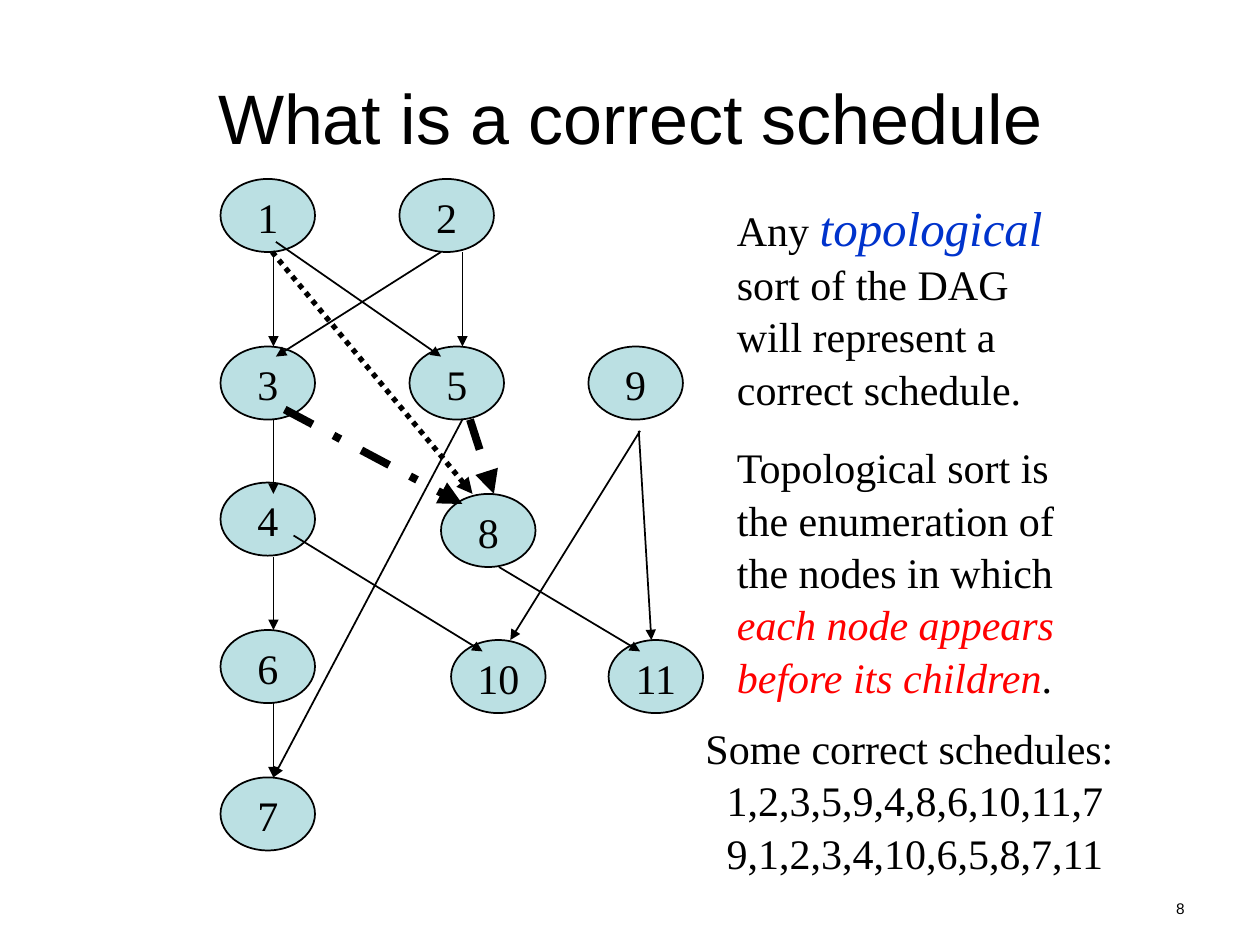
from pptx import Presentation
from pptx.dml.color import RGBColor
from pptx.enum.dml import MSO_LINE_DASH_STYLE as Dash
from pptx.enum.shapes import MSO_CONNECTOR as Connector, MSO_SHAPE as Shape
from pptx.enum.text import MSO_ANCHOR as Anchor, PP_ALIGN as Align
from pptx.oxml.ns import qn
from pptx.util import Inches, Pt
from lxml.etree import SubElement

BLACK = RGBColor(0x00, 0x00, 0x00)
PALE_TEAL = RGBColor(0xBB, 0xE0, 0xE3)
BLUE = RGBColor(0x00, 0x33, 0xCC)
RED = RGBColor(0xFF, 0x00, 0x00)

NODES = {
    "1": (1.75, 1.42), "2": (3.17, 1.42),
    "3": (1.75, 2.75), "5": (3.25, 2.75), "9": (4.67, 2.75),
    "4": (1.75, 3.83), "8": (3.5, 3.92),
    "6": (1.75, 5), "10": (3.58, 5.08), "11": (4.83, 5.08),
    "7": (1.75, 6.17),
}
THIN_EDGES = [
    ((2.17, 2), (2.17, 2.75)),
    ((3.5, 2), (2.19, 2.83)),
    ((2.19, 1.92), (3.5, 2.83)),
    ((3.67, 2), (3.67, 2.75)),
    ((2.17, 3.33), (2.17, 3.92)),
    ((2.17, 4.42), (2.17, 5)),
    ((2.17, 5.58), (2.17, 6.17)),
    ((3.67, 3.33), (2.17, 6.17)),
    ((2.33, 4.25), (3.83, 5.17)),
    ((5.08, 3.42), (4.05, 5.08)),
    ((3.96, 4.5), (5.08, 5.17)),
    ((5.07, 3.42), (5.17, 5.08)),
]
DASHED_EDGES = [
    ((3.73, 3.33), (3.92, 3.92)),
    ((2.26, 3.25), (3.67, 4)),
]
EXPLANATION = [
    [
        ("Any ", {}),
        ("topological", {"size": 28, "color": BLUE, "italic": True}),
        (" sort of the DAG will represent a correct schedule.", {}),
    ],
    [
        ("Topological sort is the enumeration of the nodes in which ", {}),
        ("each node appears before its children", {"color": RED, "italic": True}),
        (".", {}),
    ],
]
SCHEDULES = ["Some correct schedules: ", "1,2,3,5,9,4,8,6,10,11,7", "9,1,2,3,4,10,6,5,8,7,11"]


class ScheduleSlide:
    """Hold the style and the current slide, and draw its elements."""

    heading_font = "Arial"
    body_font = "Times New Roman"
    body_size = 24
    line_spacing = 1.04
    node_size = (0.75, 0.58)

    def __init__(self, presentation):
        self.slide = presentation.slides.add_slide(presentation.slide_layouts[5])
        self.shapes = self.slide.shapes

    def style_font(self, font, name=body_font, size=body_size, color=BLACK, italic=None):
        font.name = name
        font.size = Pt(size)
        font.color.rgb = color
        font.italic = italic

    def title(self, text, left, top, width, height):
        title = self.shapes.title
        title.left, title.top = Inches(left), Inches(top)
        title.width, title.height = Inches(width), Inches(height)
        title.text_frame.text = text
        title.text_frame.vertical_anchor = Anchor.MIDDLE
        paragraph = title.text_frame.paragraphs[0]
        paragraph.alignment = Align.CENTER
        self.style_font(paragraph.font, self.heading_font, 40)

    def node(self, label, left, top):
        width, height = self.node_size
        node = self.shapes.add_shape(
            Shape.OVAL, Inches(left), Inches(top), Inches(width), Inches(height))
        node.shadow.inherit = False
        node.fill.solid()
        node.fill.fore_color.rgb = PALE_TEAL
        node.line.color.rgb = BLACK
        node.line.width = Pt(1)
        frame = node.text_frame
        frame.word_wrap = False
        frame.vertical_anchor = Anchor.MIDDLE
        frame.text = label
        paragraph = frame.paragraphs[0]
        paragraph.alignment = Align.CENTER
        paragraph.line_spacing = self.line_spacing
        self.style_font(paragraph.font)

    def arrow(self, start, end, width=1, dash=None):
        points = [Inches(value) for value in start + end]
        arrow = self.shapes.add_connector(Connector.STRAIGHT, *points)
        arrow.line.color.rgb = BLACK
        arrow.line.width = Pt(width)
        if dash is not None:
            arrow.line.dash_style = dash
        properties = arrow.element.spPr
        SubElement(properties.find(qn("a:ln")), qn("a:tailEnd"), type="triangle")
        SubElement(properties, qn("a:effectLst"))

    def text_frame(self, left, top, width, height, wrap=True):
        box = self.shapes.add_textbox(
            Inches(left), Inches(top), Inches(width), Inches(height))
        box.text_frame.word_wrap = wrap
        return box.text_frame

    def rich_text(self, paragraphs, left, top, width, height, gap):
        frame = self.text_frame(left, top, width, height)
        for index, runs in enumerate(paragraphs):
            paragraph = frame.add_paragraph() if index else frame.paragraphs[0]
            paragraph.line_spacing = self.line_spacing
            if index:
                paragraph.space_before = Pt(gap)
            for text, style in runs:
                run = paragraph.add_run()
                run.text = text
                self.style_font(run.font, **style)

    def plain_text(self, lines, left, top, width, height, alignment, wrap=True, **style):
        frame = self.text_frame(left, top, width, height, wrap)
        frame.text = "\n".join(lines)
        for paragraph in frame.paragraphs:
            paragraph.alignment = alignment
            paragraph.line_spacing = self.line_spacing
            self.style_font(paragraph.font, **style)


def main():
    presentation = Presentation()
    presentation.slide_width = Inches(10)
    presentation.slide_height = Inches(7.5)
    page = ScheduleSlide(presentation)

    page.title("What is a correct schedule", 0.5, 0.3, 9, 1.25)
    for label, position in NODES.items():
        page.node(label, *position)
    for start, end in THIN_EDGES:
        page.arrow(start, end)
    for start, end in DASHED_EDGES:
        page.arrow(start, end, 4.5, Dash.DASH_DOT)
    page.arrow((2.16, 2), (3.75, 3.92), 3, Dash.ROUND_DOT)

    page.rich_text(EXPLANATION, 5.75, 1.5, 2.75, 3.98, gap=15)
    page.plain_text(SCHEDULES, 5.5, 5.67, 3.52, 1.3, Align.CENTER, wrap=False)
    page.plain_text(["8"], 7.17, 7.08, 2.33, 0.27, Align.RIGHT,
                    name=page.heading_font, size=8.8)

    presentation.save("out.pptx")


if __name__ == "__main__":
    main()
